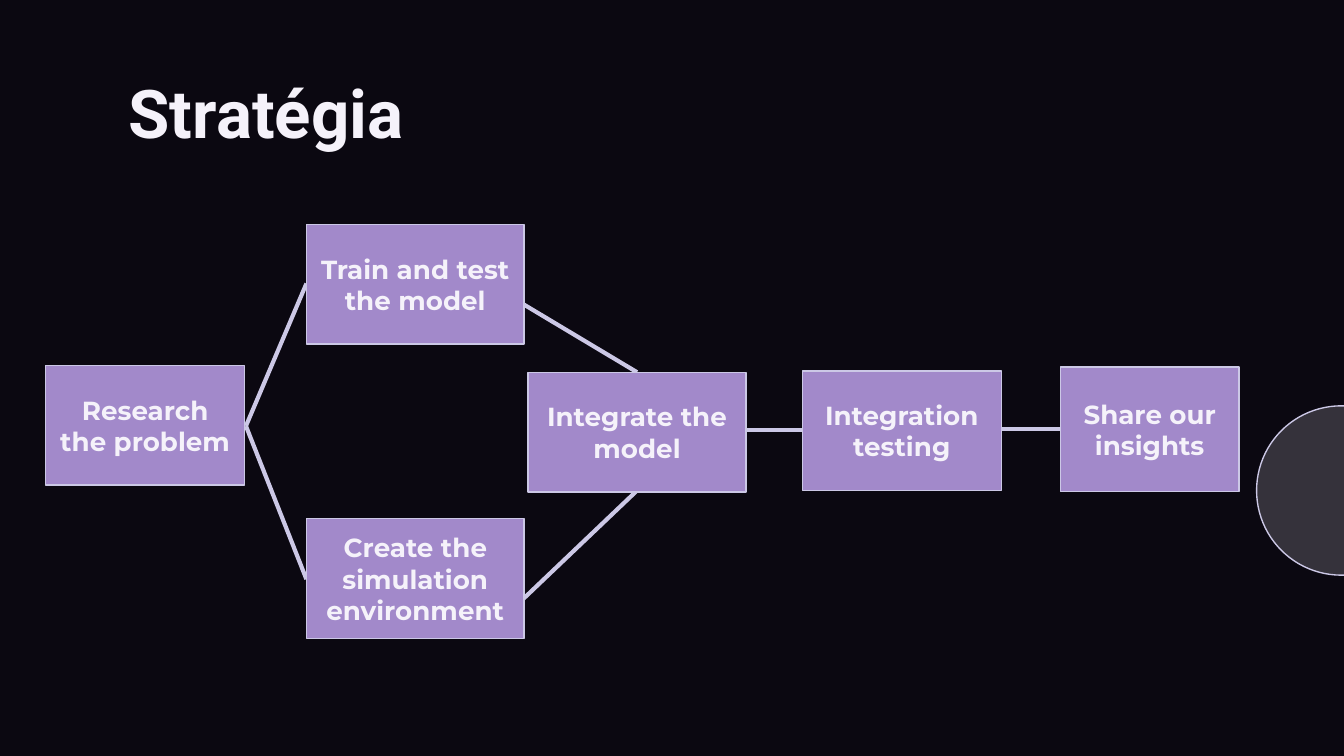
"""Build the strategy slide: a flow of project steps joined by lines."""
from dataclasses import dataclass

import lxml.etree
import pptx
import pptx.dml.color
import pptx.enum.shapes
import pptx.enum.text
import pptx.oxml.ns
import pptx.util

Inches = pptx.util.Inches
Shapes = pptx.enum.shapes.MSO_SHAPE
Anchor = pptx.enum.text.MSO_ANCHOR
Align = pptx.enum.text.PP_ALIGN


@dataclass(frozen=True)
class Theme:
    background: str = "0B0811"
    light: str = "F5F2FA"
    box: str = "A289CA"
    outline: str = "CCC8E6"
    title_font: str = "Roboto"
    body_font: str = "Montserrat"
    title_size: float = 36
    body_size: float = 14
    outline_width: float = 0.75
    link_width: float = 2.25
    circle_opacity: int = 18


@dataclass(frozen=True)
class Step:
    text: str
    left: float
    top: float
    width: float
    height: float = 0.89


@dataclass(frozen=True)
class Link:
    start: tuple[float, float]
    end: tuple[float, float]


THEME = Theme()
FORK = (1.83, 3.17)
BRANCH_LEFT = 2.28
NARROW = 1.48
WIDE = 1.62

LINKS = (
    Link(FORK, (BRANCH_LEFT, 2.11)),
    Link(FORK, (BRANCH_LEFT, 4.31)),
    Link((3.47, 2.01), (4.74, 2.77)),
    Link((3.89, 4.46), (4.74, 3.65)),
    Link((5.39, 3.2), (5.97, 3.2)),
    Link((7.39, 3.19), (7.89, 3.19)),
)

STEPS = (
    Step("Research the problem", 0.34, 2.72, NARROW),
    Step("Share our insights", 7.89, 2.73, 1.33, 0.93),
    Step("Integration testing", 5.97, 2.76, NARROW),
    Step("Train and test the model", BRANCH_LEFT, 1.67, WIDE),
    Step("Create the simulation environment", BRANCH_LEFT, 3.86, WIDE),
    Step("Integrate the model", 3.93, 2.77, WIDE),
)


def color(value: str) -> pptx.dml.color.RGBColor:
    """Return the color for a hex value."""
    return pptx.dml.color.RGBColor.from_string(value)


def set_outline(line, width: float) -> None:
    """Give a line the theme outline color and a width."""
    line.color.rgb = color(THEME.outline)
    line.width = pptx.util.Pt(width)


def write(shape, text: str, font: str, size: float, align, anchor) -> None:
    """Write one bold paragraph into a shape."""
    frame = shape.text_frame
    margins = {f"margin_{side}": Inches(0.1) for side in ("left", "top", "right", "bottom")}
    for name, value in {**margins, "word_wrap": True, "vertical_anchor": anchor}.items():
        setattr(frame, name, value)
    paragraph = frame.paragraphs[0]
    paragraph.alignment = align
    run = paragraph.add_run()
    run.text = text
    for name, value in {"name": font, "size": pptx.util.Pt(size), "bold": True}.items():
        setattr(run.font, name, value)
    run.font.color.rgb = color(THEME.light)


def add_filled(slide, kind, bounds: tuple[float, ...], fill: str):
    """Add an outlined preset shape with a solid fill."""
    shape = slide.shapes.add_shape(kind, *map(Inches, bounds))
    shape.shadow.inherit = False
    shape.fill.solid()
    shape.fill.fore_color.rgb = color(fill)
    set_outline(shape.line, THEME.outline_width)
    return shape


def add_circle(slide) -> None:
    """Add the translucent circle at the right edge."""
    circle = add_filled(slide, Shapes.OVAL, (9.35, 3.02, 1.26, 1.26), THEME.light)
    fill_color = circle._element.spPr.find(".//" + pptx.oxml.ns.qn("a:srgbClr"))
    alpha = lxml.etree.SubElement(fill_color, pptx.oxml.ns.qn("a:alpha"))
    alpha.set("val", str(THEME.circle_opacity * 1000))


def add_title(slide, text: str) -> None:
    """Add the slide title."""
    title = slide.shapes.add_textbox(*map(Inches, (0.86, 0.43, 8.43, 0.63)))
    write(title, text, THEME.title_font, THEME.title_size, Align.LEFT, Anchor.TOP)


def add_link(slide, link: Link) -> None:
    """Add a straight line between two steps."""
    connector = slide.shapes.add_connector(
        pptx.enum.shapes.MSO_CONNECTOR.STRAIGHT, *map(Inches, link.start + link.end)
    )
    set_outline(connector.line, THEME.link_width)
    properties = connector._element.spPr
    lxml.etree.SubElement(properties, pptx.oxml.ns.qn("a:effectLst"))


def add_step(slide, step: Step) -> None:
    """Add a labelled step box."""
    bounds = (step.left, step.top, step.width, step.height)
    box = add_filled(slide, Shapes.RECTANGLE, bounds, THEME.box)
    write(box, step.text, THEME.body_font, THEME.body_size, Align.CENTER, Anchor.MIDDLE)


def main() -> None:
    """Build and save the presentation."""
    presentation = pptx.Presentation()
    presentation.slide_width = Inches(10)
    presentation.slide_height = presentation.slide_width * 9 // 16
    slide = presentation.slides.add_slide(presentation.slide_layouts[6])
    slide.background.fill.solid()
    slide.background.fill.fore_color.rgb = color(THEME.background)
    add_circle(slide)
    add_title(slide, "Stratégia")
    for link in LINKS:
        add_link(slide, link)
    for step in STEPS:
        add_step(slide, step)
    presentation.save("out.pptx")


if __name__ == "__main__":
    main()
